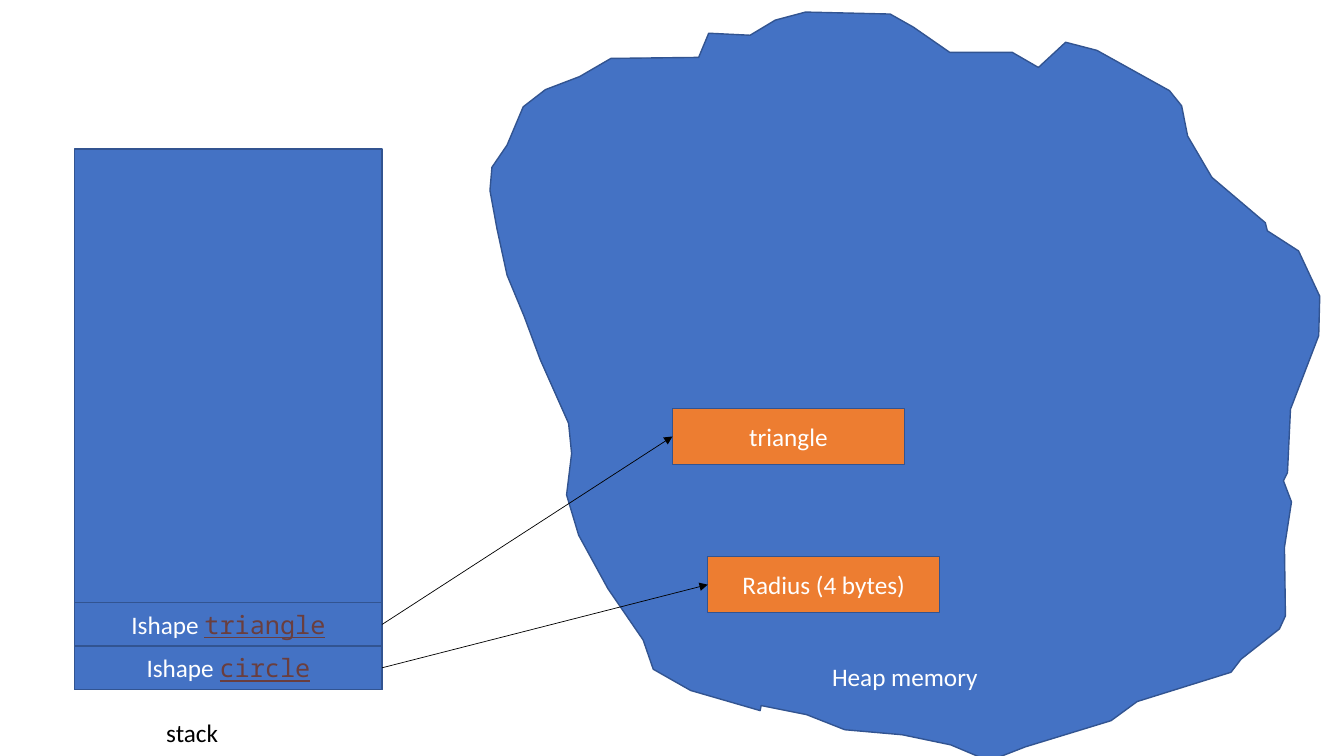
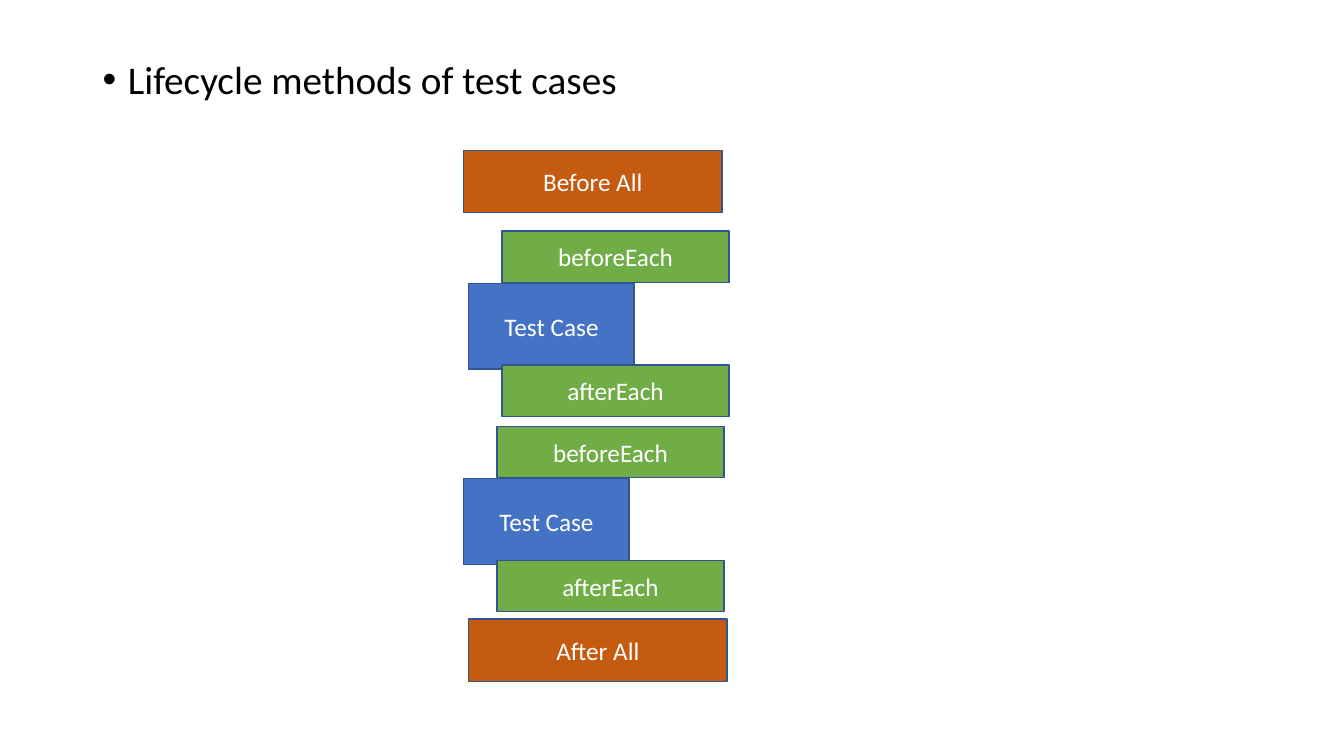
import pptx
import pptx.util
import pptx.oxml
import pptx.dml.color
import pptx.enum.shapes
import pptx.enum.text
from pptx.oxml import ns

Inches = pptx.util.Inches
Pt = pptx.util.Pt
RECTANGLE = pptx.enum.shapes.MSO_SHAPE.RECTANGLE
ALIGN = pptx.enum.text.PP_ALIGN
ANCHOR = pptx.enum.text.MSO_ANCHOR

COLORS = {
    "blue": "4472C4", "outline": "325491", "orange": "ED7D31",
    "rust": "C55A11", "green": "70AD47", "variable": "6A3E3E",
    "white": "FFFFFF", "black": "000000",
}
BODY_FONT = "Calibri"
CODE_FONT = "Noto Sans Mono"

STACK = (0.74, 1.48, 3.05, 5.36)
FRAME_HEIGHT = 0.43
HEAP_OBJECT_SIZE = (2.3, 0.56)
REFERENCES = [
    ("circle", "Radius (4 bytes)", (7.02, 5.52)),
    ("triangle", "triangle", (6.67, 4.05)),
]
HEAP_OUTLINE = [
    (7.54, 7.05), (6.85, 6.85), (6.48, 6.64), (6.38, 6.35), (6.03, 5.84),
    (5.74, 5.31), (5.62, 4.91), (5.67, 4.5), (5.64, 4.2), (5.36, 3.57),
    (5.2, 3.14), (5.03, 2.73), (4.93, 2.27), (4.86, 1.89), (4.88, 1.66),
    (5.03, 1.44), (5.19, 1.06), (5.41, 0.89), (5.75, 0.76), (6.06, 0.58),
    (6.93, 0.57), (7.03, 0.33), (7.44, 0.35), (7.69, 0.2), (7.99, 0.12),
    (8.83, 0.14), (9.06, 0.27), (9.42, 0.52), (10.04, 0.52), (10.3, 0.67),
    (10.57, 0.42), (10.88, 0.5), (11.6, 0.9), (11.72, 1.05), (11.78, 1.35),
    (12.02, 1.76), (12.55, 2.21), (12.57, 2.29), (12.88, 2.49), (13.09, 2.94),
    (13.08, 3.33), (12.8, 4.06), (12.77, 4.69), (12.73, 4.77), (12.81, 4.98),
    (12.74, 5.43), (12.75, 6.11), (12.69, 6.24), (12.31, 6.54), (12.21, 6.67),
    (11.28, 6.96), (11.02, 7.15), (10.17, 7.41), (9.81, 7.55), (9.43, 7.39),
    (8.95, 7.29), (8.38, 7.24), (8, 7.09), (7.55, 7),
]

LIFECYCLE_TITLE = "Lifecycle methods of test cases"
SUITE_HOOK_SIZE = (2.56, 0.62)
SUITE_HOOKS = [("Before All", (4.6, 1.49)), ("After All", (4.65, 6.14))]
CYCLE_ORIGINS = [(4.65, 2.29), (4.6, 4.23)]
CYCLE_STEPS = [
    ("Test Case", (0, 0.52), (1.64, 0.85), "blue"),
    ("beforeEach", (0.33, 0), (2.25, 0.51), "green"),
    ("afterEach", (0.33, 1.33), (2.25, 0.51), "green"),
]


def rgb(name):
    return pptx.dml.color.RGBColor.from_string(COLORS[name])


def add_run(paragraph, text, size=18, font=BODY_FONT, color="white", underline=None):
    run = paragraph.add_run()
    run.text = text
    run.font.size = Pt(size)
    run.font.name = font
    run.font.color.rgb = rgb(color)
    run.font.underline = underline


def paint(shape, fill):
    shape.shadow.inherit = False
    shape.fill.solid()
    shape.fill.fore_color.rgb = rgb(fill)
    shape.line.color.rgb = rgb("outline")
    shape.line.width = Pt(1)
    shape.text_frame.word_wrap = True
    shape.text_frame.vertical_anchor = ANCHOR.MIDDLE
    shape.text_frame.paragraphs[0].alignment = ALIGN.CENTER


def add_box(shapes, position, size, fill, text=""):
    box = shapes.add_shape(RECTANGLE, *map(Inches, (*position, *size)))
    paint(box, fill)
    if text:
        add_run(box.text_frame.paragraphs[0], text)
    return box


def add_heap(shapes):
    points = [(Inches(x), Inches(y)) for x, y in HEAP_OUTLINE]
    builder = shapes.build_freeform(*points[0])
    builder.add_line_segments(points[1:], close=True)
    heap = builder.convert_to_shape()
    paint(heap, "blue")
    heap.text_frame.vertical_anchor = ANCHOR.BOTTOM
    heap.text_frame.margin_bottom = Inches(0.69)
    add_run(heap.text_frame.paragraphs[0], "Heap memory")


def add_pointer(shapes, frame, heap_object):
    pointer = shapes.add_connector(pptx.enum.shapes.MSO_CONNECTOR.STRAIGHT, 0, 0, 0, 0)
    pointer.begin_connect(frame, 3)
    pointer.end_connect(heap_object, 1)
    pointer.line.color.rgb = rgb("black")
    pointer.line.width = Pt(0.5)
    arrowhead = pptx.oxml.parse_xml(f'<a:tailEnd {ns.nsdecls("a")} type="triangle"/>')
    pointer.line._get_or_add_ln().append(arrowhead)
    pointer._element.spPr.append(pptx.oxml.parse_xml(f'<a:effectLst {ns.nsdecls("a")}/>'))


def build_memory(slide):
    shapes = slide.shapes
    left, top, width, height = STACK
    add_box(shapes, (left, top), (width, height), "blue")
    add_heap(shapes)
    label = shapes.add_textbox(*map(Inches, (1.55, 7.07, 0.72, 0.4))).text_frame
    label.word_wrap = False
    label.auto_size = pptx.enum.text.MSO_AUTO_SIZE.SHAPE_TO_FIT_TEXT
    add_run(label.paragraphs[0], "stack", color="black")
    for level, (variable, content, position) in enumerate(REFERENCES, 1):
        frame_top = top + height - level * FRAME_HEIGHT
        frame = add_box(shapes, (left, frame_top), (width, FRAME_HEIGHT), "blue", "Ishape ")
        add_run(frame.text_frame.paragraphs[0], variable,
                font=CODE_FONT, color="variable", underline=True)
        heap_object = add_box(shapes, position, HEAP_OBJECT_SIZE, "orange", content)
        add_pointer(shapes, frame, heap_object)


def build_lifecycle(slide):
    shapes = slide.shapes
    body = shapes.add_textbox(*map(Inches, (0.92, 0.55, 11.5, 6.2))).text_frame
    body.word_wrap = True
    heading = body.paragraphs[0]
    heading.line_spacing = 0.9
    properties = heading._p.get_or_add_pPr()
    properties.set("marL", str(Inches(0.25)))
    properties.set("indent", str(-Inches(0.25)))
    for bullet in ('buFont {} typeface="Arial"', 'buChar {} char="•"'):
        properties.append(pptx.oxml.parse_xml(f'<a:{bullet.format(ns.nsdecls("a"))}/>'))
    add_run(heading, LIFECYCLE_TITLE, size=28, color="black")
    for text, position in SUITE_HOOKS:
        add_box(shapes, position, SUITE_HOOK_SIZE, "rust", text)
    for left, top in CYCLE_ORIGINS:
        cycle = shapes.add_group_shape()
        for text, (dx, dy), size, fill in CYCLE_STEPS:
            add_box(cycle.shapes, (left + dx, top + dy), size, fill, text)


def main():
    deck = pptx.Presentation()
    deck.slide_width, deck.slide_height = Inches(13.33), Inches(7.5)
    for build in (build_memory, build_lifecycle):
        build(deck.slides.add_slide(deck.slide_layouts[6]))
    deck.save("out.pptx")


if __name__ == "__main__":
    main()
